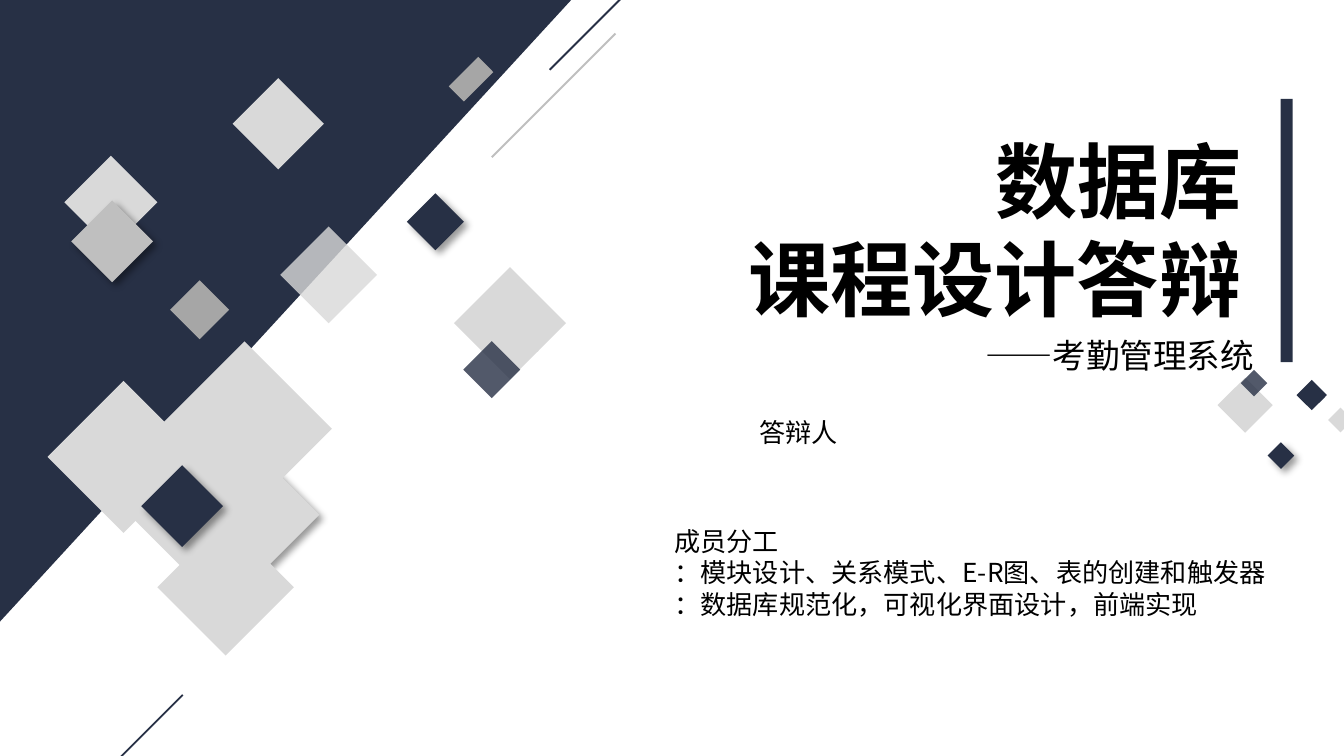
from lxml.etree import SubElement
from pptx import Presentation
from pptx.dml.color import RGBColor
from pptx.enum.shapes import MSO_CONNECTOR, MSO_SHAPE
from pptx.enum.text import MSO_ANCHOR, MSO_AUTO_SIZE, PP_ALIGN
from pptx.oxml.ns import qn
from pptx.util import Pt

NAVY, LIGHT, SILVER, GRAY = "273045", "D9D9D9", "BFBFBF", "A6A6A6"
FONT = "Noto Sans CJK SC"


def color(hex_string):
    return RGBColor.from_string(hex_string)


def add_block(kind, left, top, width, height, fill, rotation=0, effect=None):
    shape = slide.shapes.add_shape(kind, Pt(left), Pt(top), Pt(width), Pt(height))
    shape.rotation = rotation
    shape.fill.solid()
    shape.fill.fore_color.rgb = color(fill)
    shape.line.fill.background()
    shape.shadow.inherit = False
    properties = shape._element.spPr
    if effect == "glass":
        fill_color = properties.find(qn("a:solidFill")).find(qn("a:srgbClr"))
        SubElement(fill_color, qn("a:alpha"), val="80000")
    if effect == "shadow":
        outer = SubElement(properties.find(qn("a:effectLst")), qn("a:outerShdw"),
                           blurRad=str(Pt(4)), dist=str(Pt(3)), dir="2700000",
                           algn="tl", rotWithShape="0")
        shadow_color = SubElement(outer, qn("a:srgbClr"), val="000000")
        SubElement(shadow_color, qn("a:alpha"), val="40000")
    return shape


presentation = Presentation()
presentation.slide_width, presentation.slide_height = Pt(720), Pt(405)
slide = presentation.slides.add_slide(presentation.slide_layouts[0])

triangle = add_block(MSO_SHAPE.ISOSCELES_TRIANGLE, -13.5, 13.5, 333, 306, NAVY, 90)
triangle.adjustments[0] = 0

diamonds = {
    315: [
        (131.8, 49, 34.6, 34.6, LIGHT, None),
        (95.8, 154.8, 22.3, 22.3, GRAY, None),
        (41.8, 90.7, 35.3, 35.3, LIGHT, None),
        (44.6, 113.8, 31, 31, SILVER, "shadow"),
        (241.2, 36.7, 22.3, 11.5, GRAY, None),
        (252, 151.9, 42.5, 42.5, LIGHT, None),
        (222.5, 108, 21.6, 21.6, NAVY, "shadow"),
        (252.7, 187.2, 21.6, 21.6, NAVY, "glass"),
        (157.7, 128.9, 36.7, 36.7, LIGHT, "glass"),
        (37.4, 216, 57.6, 57.6, LIGHT, None),
        (113.8, 252, 47.5, 47.5, LIGHT, "shadow"),
        (97.9, 240.5, 29.5, 29.5, LIGHT, None),
        (95, 288.7, 51.8, 51.8, LIGHT, None),
        (75.6, 245.5, 51.8, 51.8, LIGHT, None),
        (97.9, 196.6, 66.2, 66.2, LIGHT, None),
        (82.1, 255.6, 31, 31, NAVY, "shadow"),
        (697, 205.9, 11.5, 11.5, NAVY, None),
        (713.5, 220.3, 9.4, 9.4, LIGHT, None),
    ],
    135: [
        (656.6, 206.6, 20.9, 20.9, LIGHT, None),
        (681.1, 239, 10.1, 10.1, NAVY, "shadow"),
        (666.7, 200.2, 10.1, 10.1, NAVY, "glass"),
    ],
}
for rotation, blocks in diamonds.items():
    for left, top, width, height, fill, effect in blocks:
        add_block(MSO_SHAPE.RECTANGLE, left, top, width, height, fill, rotation, effect)

add_block(MSO_SHAPE.RECTANGLE, 686, 53, 6.5, 141, NAVY)

reach = 66.2
for left, bottom, stroke in [(294.5, 37.4, NAVY), (263.5, 84.2, SILVER), (31.7, 438.5, NAVY)]:
    line = slide.shapes.add_connector(MSO_CONNECTOR.STRAIGHT, Pt(left), Pt(bottom),
                                      Pt(left + reach), Pt(bottom - reach))
    line.line.color.rgb = color(stroke)
    line.line.width = Pt(1)
    SubElement(line._element.spPr, qn("a:effectLst"))

title, subtitle = slide.placeholders
speaker = slide.shapes.add_textbox(0, 0, 0, 0)
members = slide.shapes.add_textbox(0, 0, 0, 0)
texts = [
    (title, (386.4, 66.2, 286, 113.8), PP_ALIGN.RIGHT, {"size": Pt(44), "bold": True},
     ["数据库", "课程设计答辩"]),
    (subtitle, (340.6, 175.7, 338.4, 28.8), PP_ALIGN.RIGHT, {"size": Pt(18)},
     ["——考勤管理系统"]),
    (speaker, (399.6, 219.6, 90.7, 24.5), PP_ALIGN.LEFT, {"size": Pt(14)}, ["答辩人"]),
    (members, (354.2, 277.9, 331.2, 58.3), PP_ALIGN.LEFT, {"size": Pt(14)},
     ["成员分工", "：模块设计、关系模式、E-R图、表的创建和触发器",
      "：数据库规范化，可视化界面设计，前端实现"]),
]
for shape, box, alignment, formatting, lines in texts:
    shape.left, shape.top, shape.width, shape.height = [Pt(length) for length in box]
    frame = shape.text_frame
    frame.text = "\n".join(lines)
    frame.word_wrap = True
    frame.auto_size = MSO_AUTO_SIZE.SHAPE_TO_FIT_TEXT
    frame.vertical_anchor = MSO_ANCHOR.TOP
    for paragraph in frame.paragraphs:
        paragraph.alignment = alignment
        paragraph.space_before = Pt(0)
        for run in paragraph.runs:
            for name, value in {"name": FONT, **formatting}.items():
                setattr(run.font, name, value)
            run.font.color.rgb = color("000000")
            SubElement(run.font._element, qn("a:ea"), typeface=FONT)

presentation.save("out.pptx")
